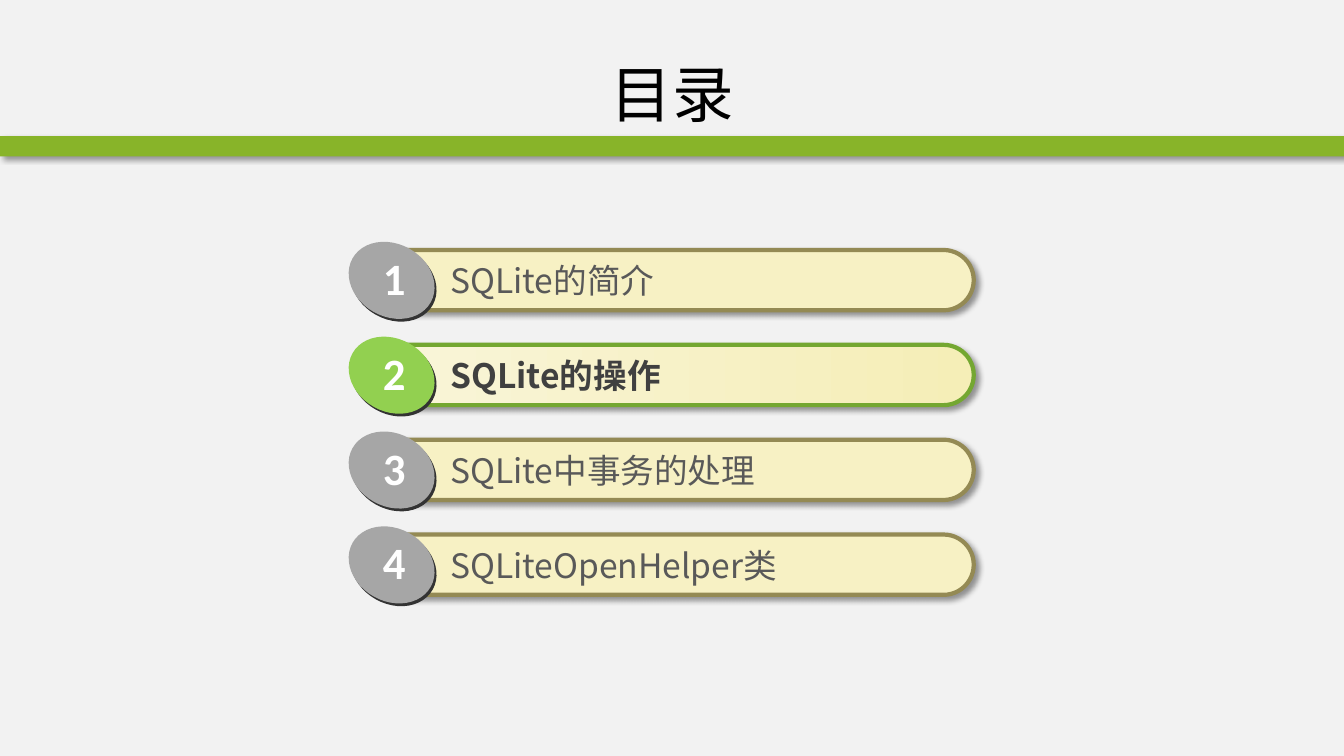
"""Build the contents slide with four numbered topics."""
from dataclasses import dataclass

from lxml import etree
from pptx import Presentation
from pptx import util as u
from pptx.dml.color import RGBColor
from pptx.enum import shapes, text
from pptx.oxml import ns


@dataclass(frozen=True)
class Theme:
    background: str = "F2F2F2"
    bar: str = "88B429"
    shadow: str = "000000"
    disc_edge: str = "333333"
    number: str = "FFFFFF"
    heading: str = "000000"
    heading_size: int = 44
    topic_size: int = 24
    number_size: int = 32
    topic_font: str = "Noto Sans CJK SC"
    number_font: str = "Calibri"


@dataclass(frozen=True)
class Look:
    fills: tuple[str, ...]
    outline: str
    disc: str
    ink: str
    bold: bool = False


@dataclass(frozen=True)
class Box:
    left: float
    top: float
    width: float
    height: float

    def lowered(self, distance: float) -> "Box":
        return Box(self.left, self.top + distance, self.width, self.height)

    def lengths(self) -> tuple:
        return tuple(u.Cm(v) for v in (self.left, self.top, self.width, self.height))


@dataclass(frozen=True)
class Topic:
    title: str
    look: Look


THEME = Theme()
PLAIN = Look(("F7F1C4",), "948A54", "A6A6A6", "595959")
CURRENT = Look(("F9F5D9", "F5EEB7"), "74A731", "92D050", "404040", True)
TOPICS = (
    Topic("SQLite的简介", PLAIN),
    Topic("SQLite的操作", CURRENT),
    Topic("SQLite中事务的处理", PLAIN),
    Topic("SQLiteOpenHelper类", PLAIN),
)
PITCH = 2.39
TILT = 29.3
HEADING = Box(1.7, 0.76, 30.48, 3.18)
BAR = Box(0, 3.43, 33.87, 0.51)
CAPSULE = Box(9.3, 6.3, 15.24, 1.52)
LABEL = Box(11.1, 6.43, 12, 1.29)
DISC_EDGE = Box(8.79, 6.22, 2.26, 1.83)
DISC = Box(8.74, 6.15, 2.26, 1.83)
NUMBER = Box(9.4, 6.19, 1.09, 1.63)


def colour(value: str) -> RGBColor:
    return RGBColor.from_string(value)


def draw_shape(parent, kind, box: Box, fills: tuple[str, ...]):
    shape = parent.add_shape(kind, *box.lengths())
    shape.shadow.inherit = False
    shape.line.fill.background()
    if len(fills) == 1:
        shape.fill.solid()
        shape.fill.fore_color.rgb = colour(fills[0])
    else:
        shape.fill.gradient()
        shape.fill.gradient_angle = 0
        for position, (stop, value) in enumerate(zip(shape.fill.gradient_stops, fills)):
            stop.position = position
            stop.color.rgb = colour(value)
    return shape


def cast_shadow(shape) -> None:
    effects = shape._element.spPr.find(ns.qn("a:effectLst"))
    outer = etree.SubElement(
        effects, ns.qn("a:outerShdw"), blurRad=str(u.Pt(4)), dist=str(u.Pt(3)),
        dir="2700000", algn="tl", rotWithShape="0")
    tone = etree.SubElement(outer, ns.qn("a:srgbClr"), val=THEME.shadow)
    etree.SubElement(tone, ns.qn("a:alpha"), val="40000")


def write(frame, words: str, font: str, size: int, ink: str, bold: bool = False) -> None:
    frame.text = words
    for run in frame.paragraphs[0].runs:
        run.font.name = font
        run.font.size = u.Pt(size)
        run.font.bold = bold
        run.font.color.rgb = colour(ink)
        etree.SubElement(run.font._element, ns.qn("a:ea"), typeface=font)


def draw_words(parent, box: Box, wrap: bool, words: str, font: str, size: int,
               ink: str, bold: bool) -> None:
    frame = parent.add_textbox(*box.lengths()).text_frame
    frame.word_wrap = wrap
    frame.auto_size = text.MSO_AUTO_SIZE.SHAPE_TO_FIT_TEXT
    write(frame, words, font, size, ink, bold)


def draw_topic(slide, index: int, topic: Topic) -> None:
    entry = slide.shapes.add_group_shape().shapes
    drop = index * PITCH
    look = topic.look
    capsule = draw_shape(entry, shapes.MSO_SHAPE.ROUNDED_RECTANGLE,
                         CAPSULE.lowered(drop), look.fills)
    capsule.adjustments[0] = 0.5
    capsule.line.color.rgb = colour(look.outline)
    capsule.line.width = u.Pt(3)
    cast_shadow(capsule)
    draw_words(entry, LABEL.lowered(drop), True, topic.title,
               THEME.topic_font, THEME.topic_size, look.ink, look.bold)
    for box, fill in ((DISC_EDGE, THEME.disc_edge), (DISC, look.disc)):
        disc = draw_shape(entry, shapes.MSO_SHAPE.OVAL, box.lowered(drop), (fill,))
        disc.rotation = TILT
    draw_words(entry, NUMBER.lowered(drop), False, str(index + 1),
               THEME.number_font, THEME.number_size, THEME.number, True)


def draw_heading(slide) -> None:
    heading = slide.shapes.title
    heading.left, heading.top, heading.width, heading.height = HEADING.lengths()
    frame = heading.text_frame
    write(frame, "目录", THEME.topic_font, THEME.heading_size, THEME.heading)
    frame.vertical_anchor = text.MSO_ANCHOR.MIDDLE
    frame.paragraphs[0].alignment = text.PP_ALIGN.CENTER


def main() -> None:
    deck = Presentation()
    deck.slide_width, deck.slide_height = u.Cm(33.87), u.Cm(19.05)
    slide = deck.slides.add_slide(deck.slide_layouts.get_by_name("Title Only"))
    slide.background.fill.solid()
    slide.background.fill.fore_color.rgb = colour(THEME.background)
    draw_heading(slide)
    cast_shadow(draw_shape(slide.shapes, shapes.MSO_SHAPE.RECTANGLE, BAR, (THEME.bar,)))
    for index, topic in enumerate(TOPICS):
        draw_topic(slide, index, topic)
    deck.save("out.pptx")


if __name__ == "__main__":
    main()
